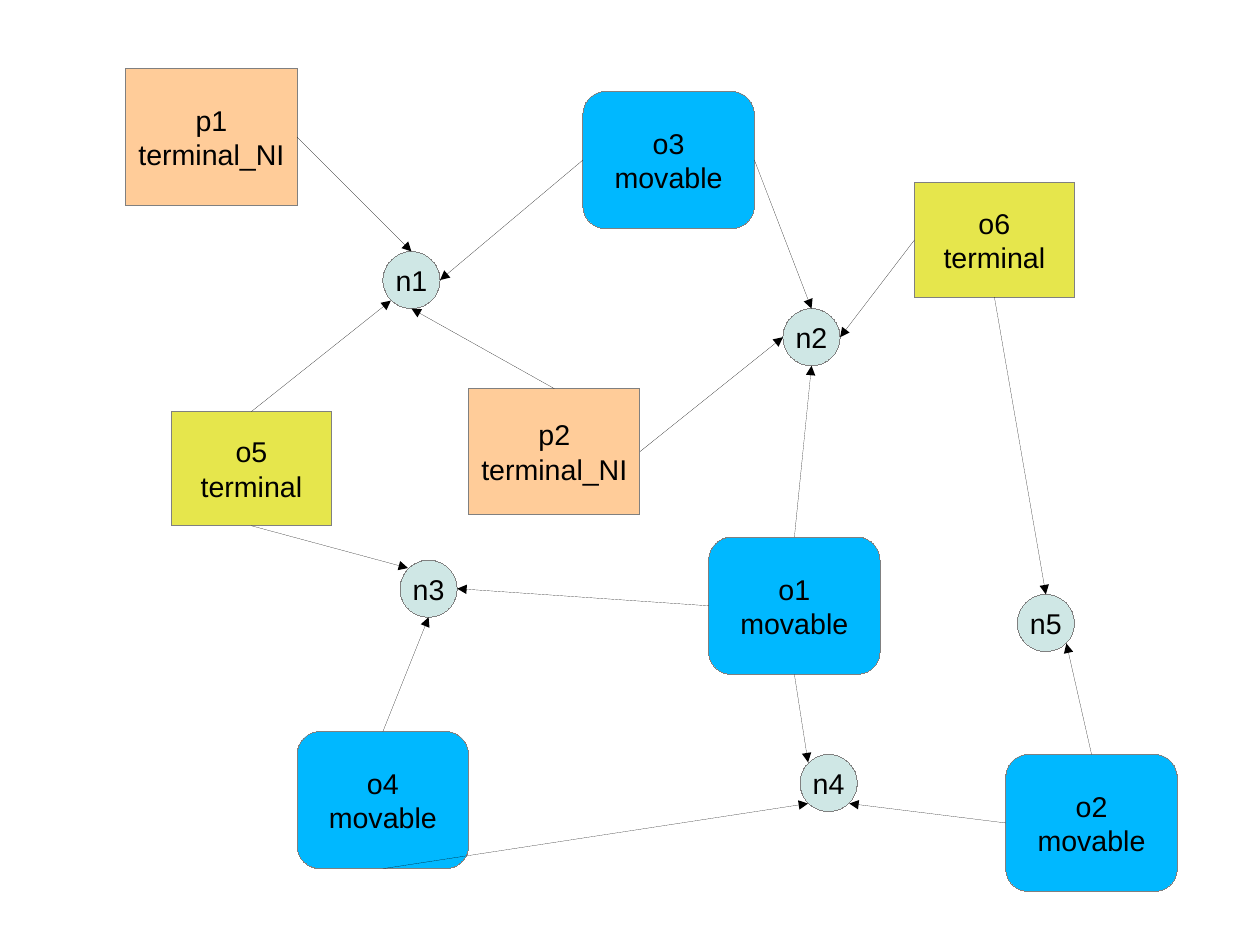
from math import cos, radians, sin

from pptx import Presentation
from pptx.dml.color import RGBColor
from pptx.enum.shapes import MSO_CONNECTOR as CONN, MSO_SHAPE as SHAPE
from pptx.enum.text import MSO_ANCHOR as ANCHOR, PP_ALIGN as ALIGN
from pptx.oxml.ns import qn
from pptx.util import Cm, Emu, Pt
from lxml.etree import SubElement

PX = 9144  # EMU per px, 100 px to the inch
NODE = 50  # diameter of a net node
TOP, LEFT, BOTTOM, RIGHT = range(4)
ANGLES = {"E": 0, "SE": 45, "S": 90, "SW": 135, "W": 180, "NW": 225, "N": 270}

# kind: (preset, fill)
KINDS = {
    "terminal": (SHAPE.RECTANGLE, "E6E64C"),
    "terminal_NI": (SHAPE.RECTANGLE, "FFCC99"),
    "movable": (SHAPE.ROUNDED_RECTANGLE, "00B8FF"),
}
# name, kind, left, top, width, height
CELLS = [
    ("o5", "terminal", 150, 360, 140, 100),
    ("p1", "terminal_NI", 110, 60, 150, 120),
    ("o1", "movable", 620, 470, 150, 120),
    ("o2", "movable", 880, 660, 150, 120),
    ("o3", "movable", 510, 80, 150, 120),
    ("o4", "movable", 260, 640, 150, 120),
    ("o6", "terminal", 800, 160, 140, 100),
    ("p2", "terminal_NI", 410, 340, 150, 110),
]
# name: left, top
NETS = {"n1": (335, 220), "n2": (685, 270), "n3": (350, 490),
        "n4": (700, 660), "n5": (890, 520)}
# cell, side it leaves from, net, point of the net it reaches
PINS = [
    ("p1", RIGHT, "n1", "N"),
    ("o3", LEFT, "n1", "E"),
    ("o5", TOP, "n1", "SW"),
    ("o3", RIGHT, "n2", "N"),
    ("o6", LEFT, "n2", "E"),
    ("p2", RIGHT, "n2", "W"),
    ("o1", TOP, "n2", "S"),
    ("o1", LEFT, "n3", "E"),
    ("o5", BOTTOM, "n3", "NW"),
    ("p2", TOP, "n1", "S"),
    ("o4", BOTTOM, "n4", "SW"),
    ("o4", TOP, "n3", "S"),
    ("o1", BOTTOM, "n4", "NW"),
    ("o2", LEFT, "n4", "SE"),
    ("o6", BOTTOM, "n5", "N"),
    ("o2", TOP, "n5", "SE"),
]


def color(value):
    return RGBColor.from_string(value)


def net_point(net, direction):
    """Point on the rim of a net node, in px."""
    left, top = NETS[net]
    angle, radius = radians(ANGLES[direction]), NODE / 2
    return (round(left + radius + radius * cos(angle)),
            round(top + radius + radius * sin(angle)))


class Diagram:
    font, size, ink, border = "Arial", Pt(18), "000000", "808080"
    hairline = Emu(1)  # a width of 0 would fall back to the theme's line

    def __init__(self, prs):
        self.slide = prs.slides.add_slide(prs.slide_layouts[6])

    def outline(self, line, value):
        line.color.rgb = color(value)
        line.width = self.hairline

    def box(self, preset, fill, lines, *frame):
        sp = self.slide.shapes.add_shape(preset, *(v * PX for v in frame))
        sp.shadow.inherit = False
        sp.fill.solid()
        sp.fill.fore_color.rgb = color(fill)
        self.outline(sp.line, self.border)
        tf = sp.text_frame
        tf.word_wrap = False
        tf.vertical_anchor = ANCHOR.MIDDLE
        for i, line in enumerate(lines):
            p = tf.add_paragraph() if i else tf.paragraphs[0]
            p.alignment = ALIGN.CENTER
            r = p.add_run()
            r.text = line
            r.font.name, r.font.size = self.font, self.size
            r.font.color.rgb = color(self.ink)
        return sp

    def arrow(self, source, side, x, y):
        cxn = self.slide.shapes.add_connector(
            CONN.STRAIGHT, source.left, source.top, x * PX, y * PX)
        cxn.begin_connect(source, side)
        self.outline(cxn.line, self.ink)
        sp_pr = cxn._element.spPr
        SubElement(sp_pr.find(qn("a:ln")), qn("a:tailEnd"), type="triangle")
        SubElement(sp_pr, qn("a:effectLst"))


def main():
    prs = Presentation()
    prs.slide_width, prs.slide_height = Cm(28), Cm(21)
    diagram = Diagram(prs)
    cells = {name: diagram.box(*KINDS[kind], [name, kind], *frame)
             for name, kind, *frame in CELLS}
    for name, (left, top) in NETS.items():
        diagram.box(SHAPE.OVAL, "CFE7E5", [name], left, top, NODE, NODE)
    for cell, side, net, direction in PINS:
        diagram.arrow(cells[cell], side, *net_point(net, direction))
    prs.save("out.pptx")


if __name__ == "__main__":
    main()
